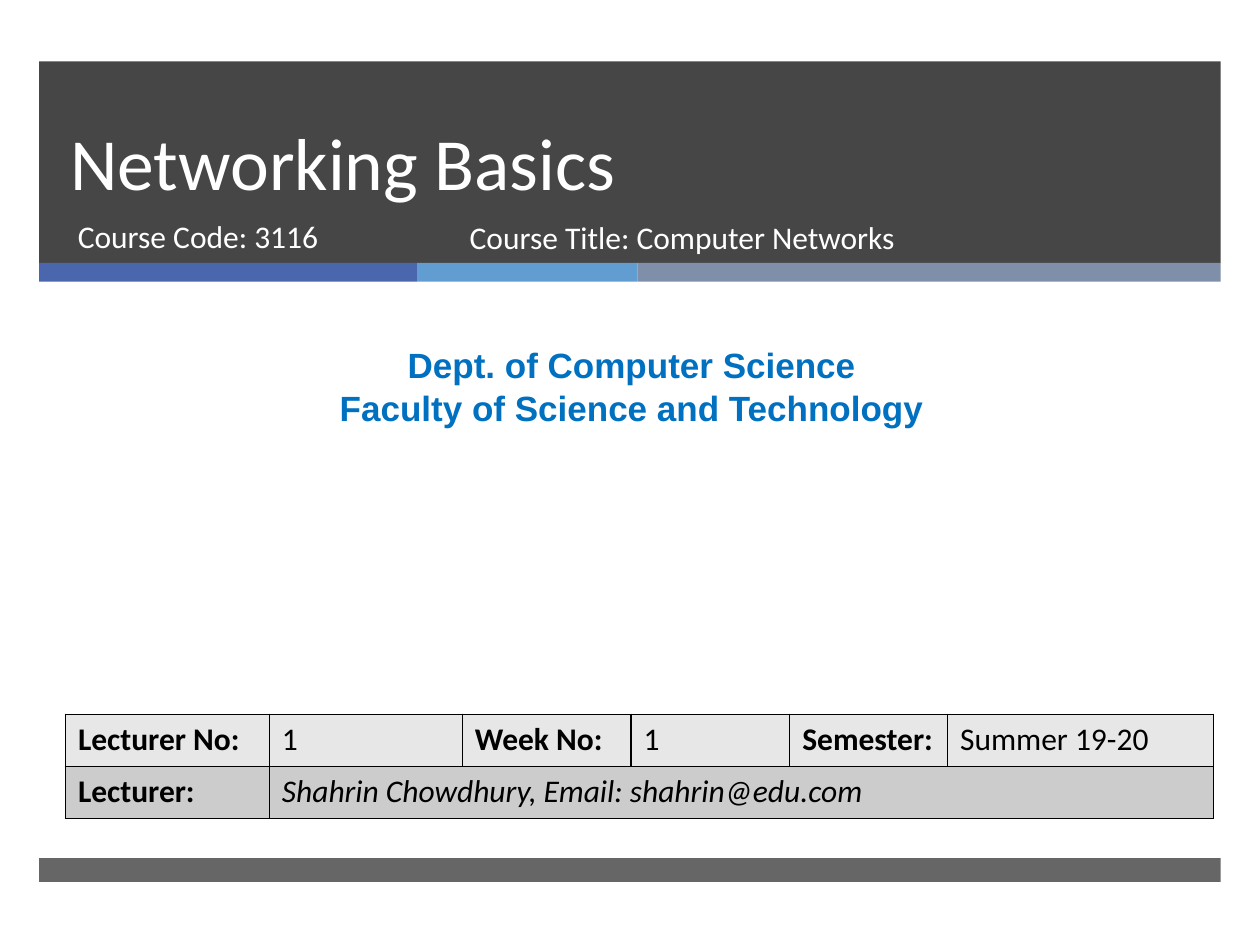
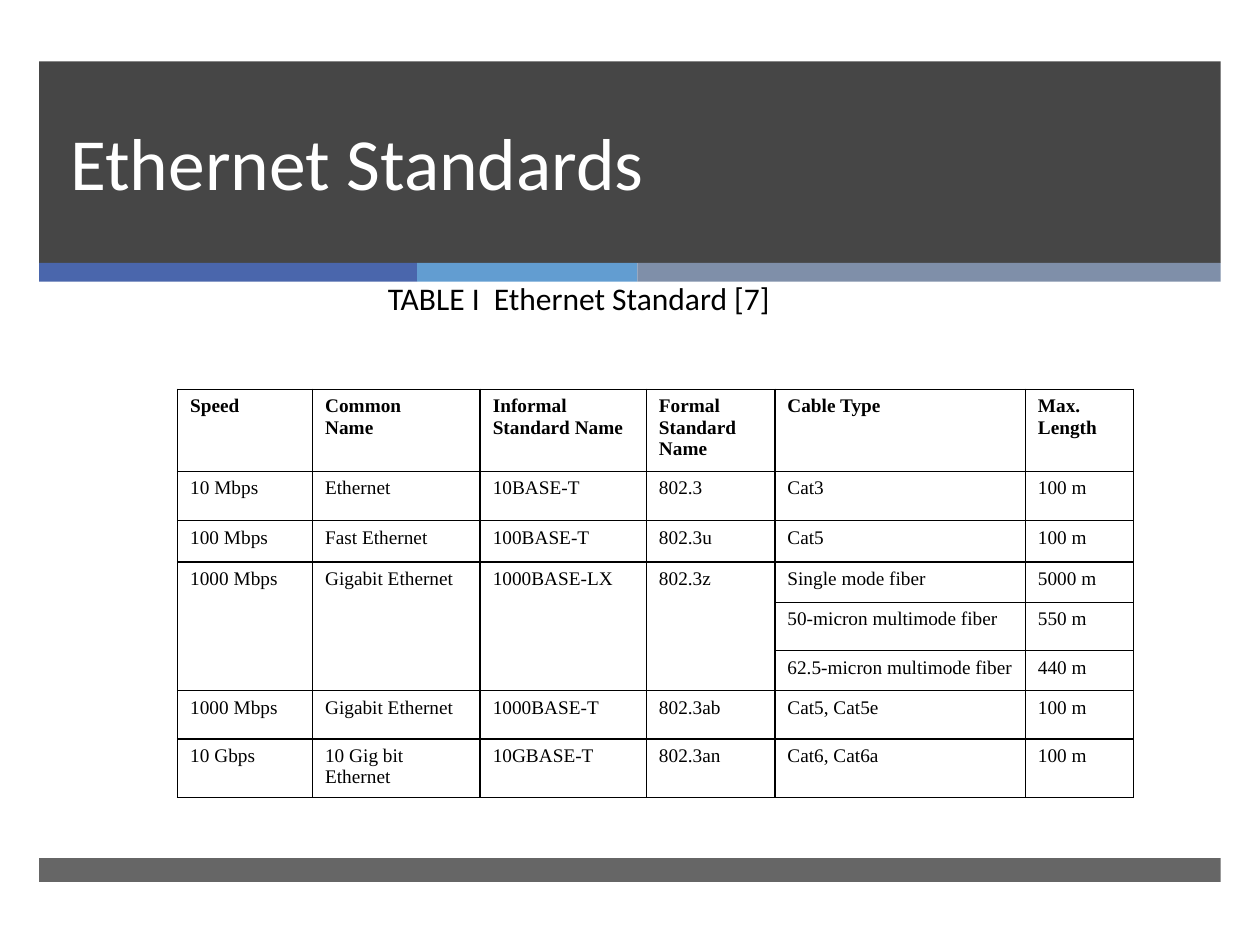
"""Build two lecture slides on networking basics and Ethernet standards."""
from lxml.etree import SubElement as Sub
from pptx import Presentation
from pptx.dml.color import RGBColor as Rgb
from pptx.enum.shapes import MSO_SHAPE as Shape
from pptx.enum.text import MSO_ANCHOR as Anchor, PP_ALIGN as Align
from pptx.oxml.ns import qn
from pptx.util import Cm, Pt

HUES = {
    "dark": "262626", "navy": "4A66AC", "sky": "629DD1", "slate": "7F8FA9",
    "white": "FFFFFF", "black": "000000", "blue": "0070C0",
    "light": "E7E7E7", "grey": "CCCCCC",
}
LEFT, WIDTH = 0.79, 23.82
STRIPES = [("navy", 7.62), ("sky", 4.44), ("slate", 11.76)]


class Deck:
    """Hold the shared style and the current slide."""

    def __init__(self):
        self.show = Presentation()
        self.show.slide_width, self.show.slide_height = Cm(25.4), Cm(19.05)
        self.slide = None

    def page(self, title):
        """Start a slide with its bands and title."""
        self.slide = self.show.slides.add_slide(self.show.slide_layouts[6])
        self.bar(LEFT, 1.24, WIDTH, 4.06, "dark", 85)
        left = LEFT
        for hue, width in STRIPES:
            self.bar(left, 5.3, width, 0.38, hue)
            left += width
        self.bar(LEFT, 17.3, WIDTH, 0.48, "dark", 70)
        frame = self.text(title, 1.17, 1.24, 21.69, 3.02, 42, "white")
        frame.vertical_anchor = Anchor.BOTTOM
        frame.paragraphs[0].line_spacing = Pt(46)

    def bar(self, left, top, width, height, hue, alpha=100):
        """Draw a plain rectangle with an opacity in percent."""
        box = self.slide.shapes.add_shape(
            Shape.RECTANGLE, Cm(left), Cm(top), Cm(width), Cm(height))
        box.shadow.inherit = False
        box.line.fill.background()
        box.fill.solid()
        box.fill.fore_color.rgb = Rgb.from_string(HUES[hue])
        if alpha < 100:
            tone = box.fill._xPr.find(".//" + qn("a:srgbClr"))
            Sub(tone, qn("a:alpha"), val=str(alpha * 1000))

    def font(self, frame, size, hue, face="Calibri", bold=False, slant=False):
        """Format every run in a text frame."""
        for para in frame.paragraphs:
            for run in para.runs:
                font = run.font
                font.size, font.name = Pt(size), face
                font.bold, font.italic = bold, slant
                font.color.rgb = Rgb.from_string(HUES[hue])

    def text(self, words, left, top, width, height, size, hue,
             face="Calibri", bold=False, align=Align.LEFT, wrap=True):
        """Add a text box and return its frame."""
        frame = self.slide.shapes.add_textbox(
            Cm(left), Cm(top), Cm(width), Cm(height)).text_frame
        frame.word_wrap = wrap
        frame.text = words
        for para in frame.paragraphs:
            para.alignment = align
        self.font(frame, size, hue, face, bold)
        return frame

    def edge(self, cell):
        """Rule all four sides of a cell."""
        props = cell._tc.get_or_add_tcPr()
        for side in "LRTB":
            line = Sub(props, qn("a:ln" + side), w=str(Pt(1)))
            fill = Sub(line, qn("a:solidFill"))
            Sub(fill, qn("a:srgbClr"), val=HUES["black"])

    def table(self, rows, left, top, widths, heights, size, face, bold,
              fills=None, spans=()):
        """Add a ruled table; bold(row, col) picks the bold cells."""
        grid = self.slide.shapes.add_table(
            len(rows), len(widths), Cm(left), Cm(top),
            Cm(sum(widths)), Cm(sum(heights))).table
        grid.first_row = grid.horz_banding = False
        for col, width in zip(grid.columns, widths):
            col.width = Cm(width)
        for r, (row, height) in enumerate(zip(rows, heights)):
            grid.rows[r].height = Cm(height)
            for c, words in enumerate(row):
                cell = grid.cell(r, c)
                self.edge(cell)
                if fills:
                    cell.fill.solid()
                    cell.fill.fore_color.rgb = Rgb.from_string(HUES[fills[r]])
                else:
                    cell.fill.background()
                cell.text_frame.text = words
                self.font(cell.text_frame, size, "black", face, bold(r, c))
        for start, end in spans:
            grid.cell(*start).merge(grid.cell(*end))
        return grid


def cover(deck):
    """Build the course cover."""
    deck.page("Networking Basics")
    deck.text("Course Code: 3116", 1.32, 4.26, 7.75, 1.35, 18, "white")
    deck.text("Dept. of Computer Science\nFaculty of Science and Technology",
              0.2, 6.81, 25.07, 1.96, 20, "blue", "Arial", True, Align.CENTER)
    rows = [
        ["Lecturer No:", "1", "Week No:", "1", "Semester:", "Summer 19-20"],
        ["Lecturer:", "Shahrin Chowdhury, Email: shahrin@edu.com"] + [""] * 4,
    ]
    grid = deck.table(
        rows, 1.32, 14.4, [4.11, 3.89, 3.4, 3.2, 3.18, 5.36], [1.05] * 2,
        18, "Calibri", lambda r, c: c % 2 == 0,
        fills=["light", "grey"], spans=[((1, 1), (1, 5))])
    deck.font(grid.cell(1, 1).text_frame, 18, "black", slant=True)
    deck.text("Course Title: Computer Networks",
              9.22, 4.28, 11.56, 1.35, 18, "white")


def norms(deck):
    """Build the table of Ethernet standards."""
    deck.page("Ethernet Standards")
    rows = [
        ["Speed", "Common\nName", "Informal\nStandard Name",
         "Formal Standard Name", "Cable Type", "Max. Length"],
        ["10 Mbps", "Ethernet", "10BASE-T", "802.3", "Cat3", "100 m"],
        ["100 Mbps", "Fast Ethernet", "100BASE-T", "802.3u", "Cat5", "100 m"],
        ["1000 Mbps", "Gigabit Ethernet", "1000BASE-LX", "802.3z",
         "Single mode fiber", "5000 m"],
        [""] * 4 + ["50-micron multimode fiber", "550 m"],
        [""] * 4 + ["62.5-micron multimode fiber", "440 m"],
        ["1000 Mbps", "Gigabit Ethernet", "1000BASE-T", "802.3ab",
         "Cat5, Cat5e", "100 m"],
        ["10 Gbps", "10 Gig bit Ethernet", "10GBASE-T", "802.3an",
         "Cat6, Cat6a", "100 m"],
    ]
    deck.table(
        rows, 3.58, 7.85, [2.72, 3.38, 3.35, 2.59, 5.05, 2.18],
        [0.99, 0.99, 0.84, 0.81, 0.97, 0.81, 0.97, 0.99],
        11, "Times New Roman", lambda r, c: r == 0,
        spans=[((3, c), (5, c)) for c in range(4)])
    deck.text("TABLE I  Ethernet Standard [7]",
              7.57, 5.51, 8.46, 1.02, 18, "black", wrap=False)


def main():
    """Build and save the deck."""
    deck = Deck()
    cover(deck)
    norms(deck)
    deck.show.save("out.pptx")


if __name__ == "__main__":
    main()
